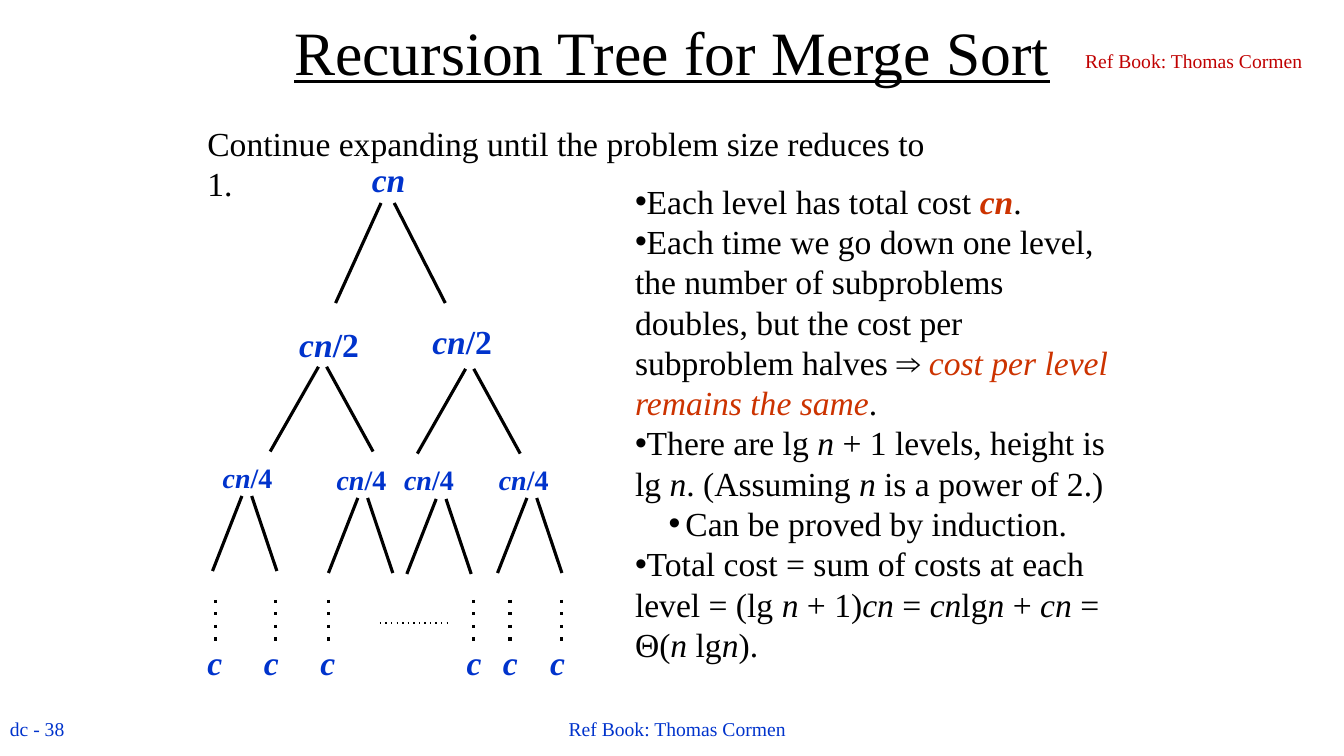
from lxml import etree
from pptx import Presentation
from pptx.dml.color import RGBColor
from pptx.enum.shapes import MSO_CONNECTOR
from pptx.enum.text import MSO_ANCHOR, MSO_AUTO_SIZE, PP_ALIGN
from pptx.oxml.ns import qn
from pptx.util import Pt

STRAIGHT = MSO_CONNECTOR.STRAIGHT
TOP, MIDDLE = MSO_ANCHOR.TOP, MSO_ANCHOR.MIDDLE
LEFT, CENTER, RIGHT = PP_ALIGN.LEFT, PP_ALIGN.CENTER, PP_ALIGN.RIGHT

BLACK = RGBColor(0x00, 0x00, 0x00)
BLUE = RGBColor(0x00, 0x33, 0xCC)
ORANGE = RGBColor(0xCC, 0x33, 0x00)
RED = RGBColor(0xC0, 0x00, 0x00)
FONT = "Times New Roman"

# Content: a span is (text, style), with i = italic, b = bold, o = orange
TITLE = "Recursion Tree for Merge Sort"
REFERENCE = "Ref Book: Thomas Cormen"

# text, (left, top, width, height), size, colour, alignment, anchor
CAPTIONS = [
    ("dc - 38", (0, 508.3, 56, 24.5), 14, BLUE, LEFT, TOP),
    (REFERENCE, (383.8, 502.6, 200, 36), 14, BLUE, CENTER, MIDDLE),
    (REFERENCE, (762.5, 24, 175, 39), 14, RED, RIGHT, MIDDLE),
    ("Continue expanding until the problem size reduces to 1.",
     (141, 84.2, 550, 36), 24, BLACK, LEFT, TOP),
]

# (level, spans)
POINTS = [
    (0, [("Each level has total cost ", ""), ("cn", "bio"), (".", "")]),
    (0, [("Each time we go down one level, the number of subproblems "
          "doubles, but the cost per subproblem halves ⇒ ", ""),
         ("cost per level remains the same", "io"), (".", "")]),
    (0, [("There are lg ", ""), ("n", "i"), (" + 1 levels, height is lg ", ""),
         ("n", "i"), (". (Assuming ", ""), ("n", "i"),
         (" is a power of 2.)", "")]),
    (1, [("Can be proved by induction.", "")]),
    (0, [("Total cost = sum of costs at each level = (lg ", ""), ("n", "i"),
         (" + 1)", ""), ("cn", "i"), (" = ", ""), ("cn", "i"), ("lg", ""),
         ("n", "i"), (" + ", ""), ("cn", "i"), (" = Θ(", ""), ("n ", "i"),
         ("lg", ""), ("n", "i"), (").", "")]),
]

# Each tree level: nodes give label left, label top, branch left, branch top;
# the right branch starts "gap" to the right of the left one
TREE_LEVELS = [
    {"divisor": "", "size": 24, "label": (46, 36), "gap": 9.4,
     "left_run": 32.5, "right_run": 36.5, "drop": 71.5,
     "nodes": [(258.5, 110.2, 272.2, 145)]},
    {"divisor": "/2", "size": 24, "label": (62, 36), "gap": 5.8,
     "left_run": 34.5, "right_run": 33.2, "drop": 60.5,
     "nodes": [(206.6, 227.5, 227.5, 262), (301.7, 225.4, 332.6, 263.5)]},
    {"divisor": "/4", "size": 20, "label": (54, 31), "gap": 7,
     "left_run": 21, "right_run": 18, "drop": 53.6,
     "nodes": [(151.9, 325.4, 172.8, 354.3), (233.3, 326.9, 255.6, 355.7),
               (281.5, 326.9, 311.6, 356.4), (349.2, 326.9, 376.4, 355.7)]},
]
# Leaves: label left, dotted line x
LEAVES = [(141.1, 154.1), (181.4, 196.6), (221.8, 234.7),
          (326.2, 338.4), (352.1, 364.3), (385.9, 401)]
LEAF_TOP, DOTS_TOP, DOTS_BOTTOM = 455, 428.4, 459.4
ELLIPSIS = (271.4, 445, 320.4, 445)


def set_font(font, size, color):
    font.name, font.size, font.color.rgb = FONT, Pt(size), color


def place(shape, left, top, width, height):
    shape.left, shape.top = Pt(left), Pt(top)
    shape.width, shape.height = Pt(width), Pt(height)


def add_spans(para, spans):
    for text, style in spans:
        span = para.add_run()
        span.text = text
        if "b" in style:
            span.font.bold = True
        if "i" in style:
            span.font.italic = True
        if "o" in style:
            span.font.color.rgb = ORANGE


def add_text(shapes, spans, bounds, size, color, align=LEFT, anchor=TOP):
    box = shapes.add_textbox(*map(Pt, bounds))
    frame = box.text_frame
    frame.word_wrap = True
    frame.vertical_anchor = anchor
    para = frame.paragraphs[0]
    para.alignment = align
    set_font(para.font, size, color)
    add_spans(para, spans)


def add_line(shapes, x1, y1, x2, y2, weight=2.25, dotted=False):
    line = shapes.add_connector(STRAIGHT, Pt(x1), Pt(y1), Pt(x2), Pt(y2))
    line.line.color.rgb = BLACK
    line.line.width = Pt(weight)
    props = line._element.spPr
    if dotted:
        etree.SubElement(props.find(qn("a:ln")), qn("a:prstDash"), val="dot")
    etree.SubElement(props, qn("a:effectLst"))


def add_bullet(para, margin):
    props = para._p.get_or_add_pPr()
    props.set("marL", str(Pt(margin)))
    props.set("indent", str(Pt(-12)))
    color = etree.Element(qn("a:buClr"))
    etree.SubElement(color, qn("a:srgbClr"), val=str(BLACK))
    bullet = etree.Element(qn("a:buChar"), char="•")
    # Bullet settings come before the default run properties
    run_defaults = props.find(qn("a:defRPr"))
    run_defaults.addprevious(color)
    run_defaults.addprevious(bullet)


deck = Presentation()
deck.slide_width, deck.slide_height = Pt(960), Pt(540)
page = deck.slides.add_slide(deck.slide_layouts[1])

# Title
title = page.shapes.title
place(title, 0, 0, 960, 72)
title.text_frame.text = TITLE
title.text_frame.vertical_anchor = MIDDLE
title_para = title.text_frame.paragraphs[0]
title_para.alignment = CENTER
set_font(title_para.font, 44, BLACK)
title_para.font.underline = True

# Introduction, references and page number
for text, bounds, size, color, align, anchor in CAPTIONS:
    add_text(page.shapes, [(text, "")], bounds, size, color, align, anchor)

# Recursion tree
tree = page.shapes.add_group_shape().shapes
for level in TREE_LEVELS:
    spans = [("cn", "bi")]
    if level["divisor"]:
        spans.append((level["divisor"], "b"))
    for left, top, x, y in level["nodes"]:
        add_text(tree, spans, (left, top, *level["label"]), level["size"], BLUE)
        bottom = y + level["drop"]
        right_x = x + level["gap"]
        add_line(tree, x, y, x - level["left_run"], bottom)
        add_line(tree, right_x, y, right_x + level["right_run"], bottom)

# Leaves
for left, x in LEAVES:
    add_line(tree, x, DOTS_TOP, x, DOTS_BOTTOM, dotted=True)
    add_text(tree, [("c", "bi")], (left, LEAF_TOP, 28, 36), 24, BLUE)
add_line(tree, *ELLIPSIS, weight=1, dotted=True)

# Explanation list
body = page.placeholders[1]
place(body, 446.4, 125.3, 364.3, 356.4)
frame = body.text_frame
frame.auto_size = MSO_AUTO_SIZE.NONE
frame.vertical_anchor = TOP
for index, (level, spans) in enumerate(POINTS):
    para = frame.add_paragraph() if index else frame.paragraphs[0]
    para.level = level
    para.space_before = Pt(0)
    para.line_spacing = 1.0
    set_font(para.font, 24, BLACK)
    add_bullet(para, 36 * level)
    add_spans(para, spans)

deck.save("out.pptx")
